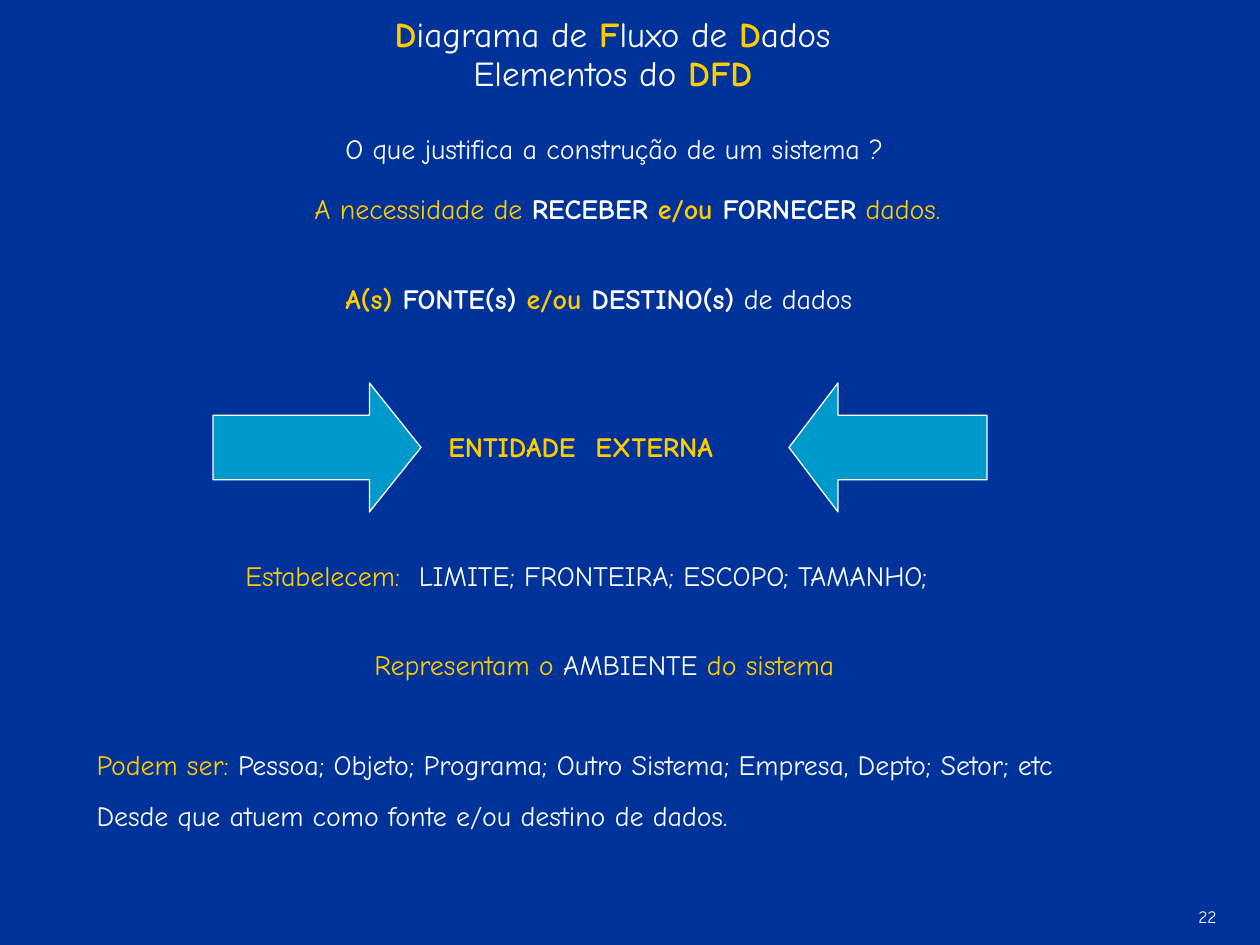
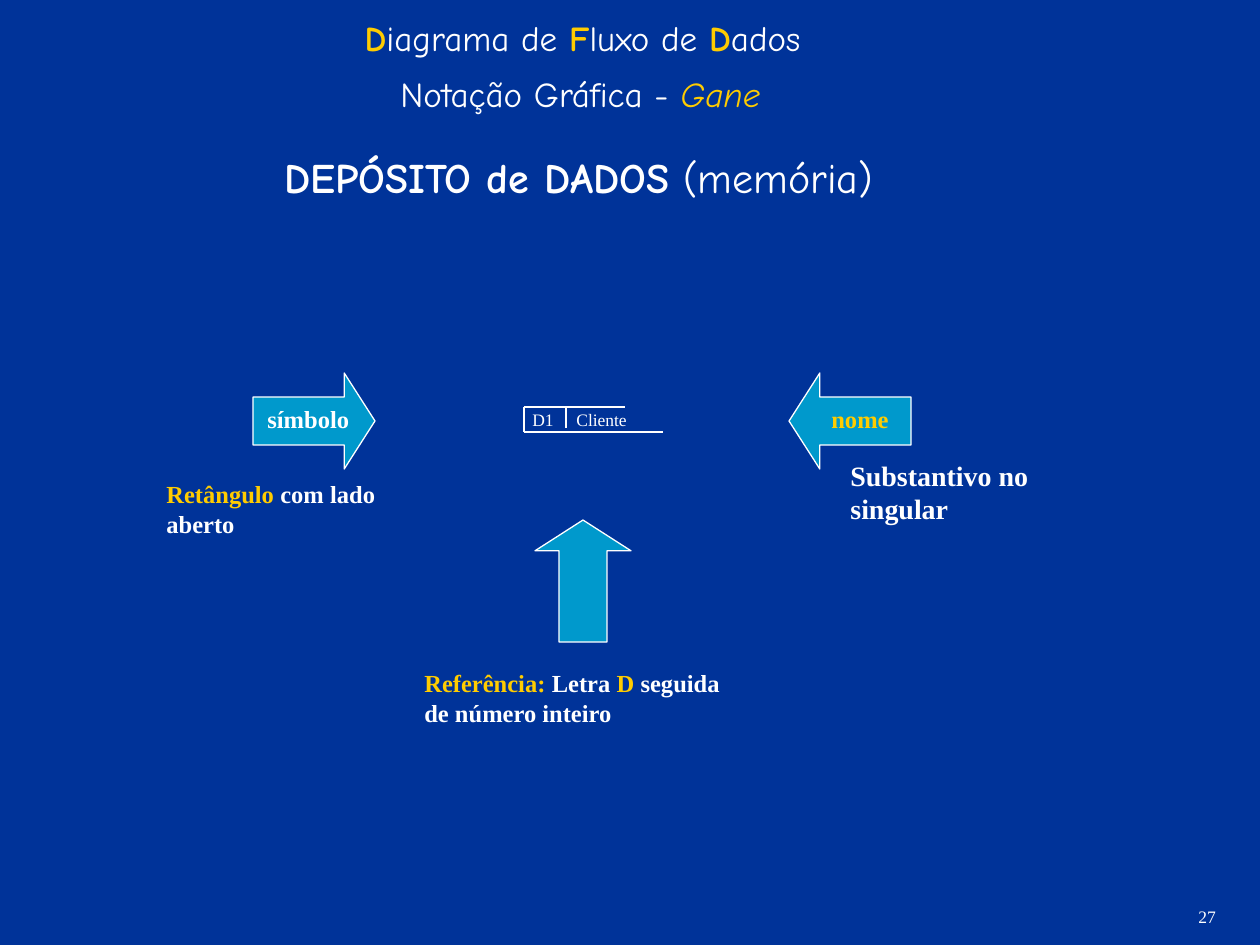
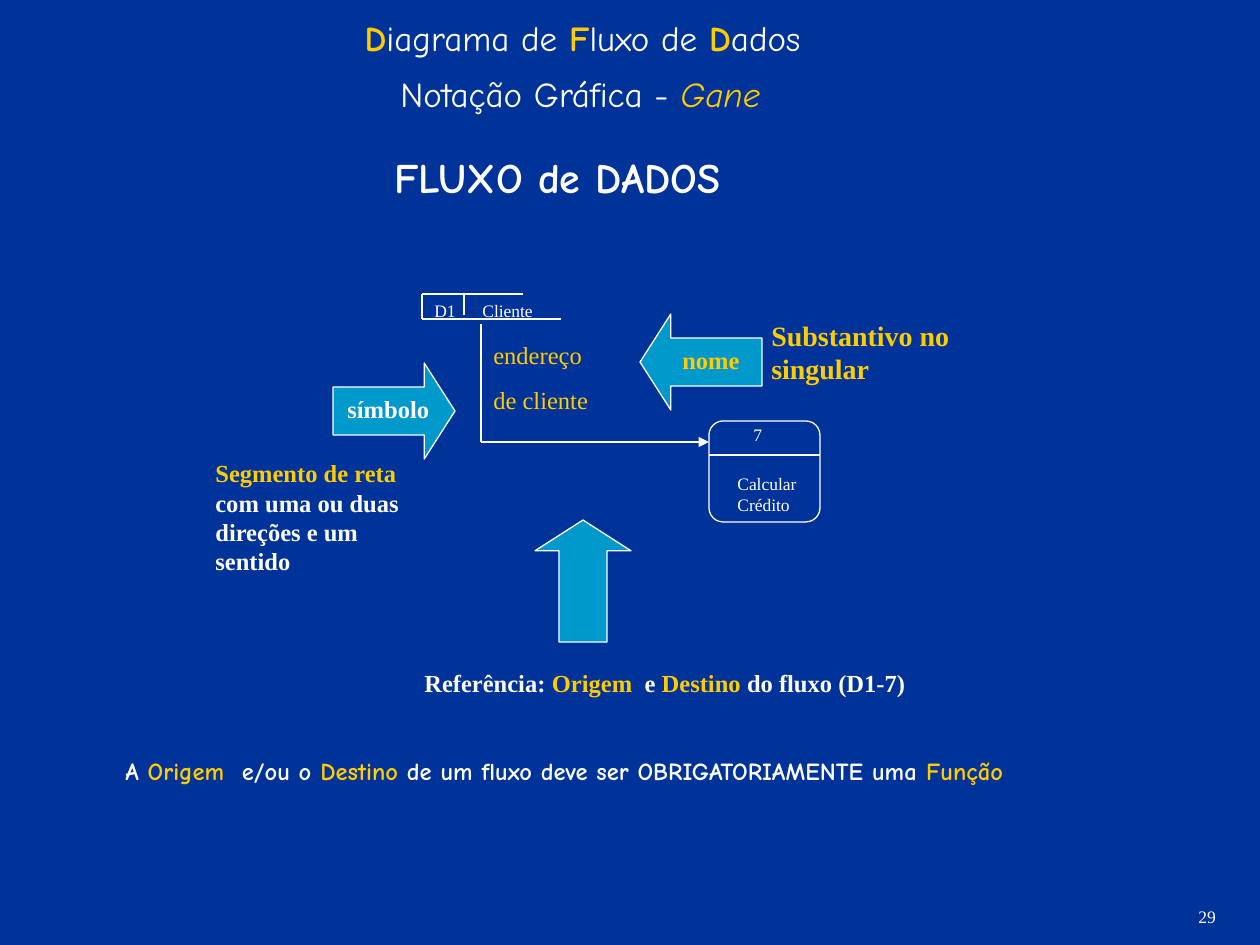
from dataclasses import dataclass

from lxml.etree import SubElement
from pptx import Presentation
from pptx.dml.color import RGBColor
from pptx.enum.shapes import MSO_CONNECTOR, MSO_SHAPE
from pptx.enum.text import MSO_ANCHOR, MSO_AUTO_SIZE, PP_ALIGN
from pptx.oxml.ns import qn
from pptx.util import Emu, Inches, Pt

PIXELS_PER_INCH = 126


# Theme: every colour, font and type size
@dataclass(frozen=True)
class Theme:
    background: str = "003399"
    white: str = "FFFFFF"
    gold: str = "FFCC00"
    arrow: str = "0099CC"
    hand: str = "Comic Neue"
    serif: str = "Times New Roman"
    heading: int = 24
    title: int = 20
    body: int = 16
    label: int = 14
    small: int = 10
    outline: float = 0.75
    paragraph_gap: float = 0.625


THEME = Theme()


@dataclass(frozen=True)
class Run:
    text: str
    color: str
    bold: bool = False
    italic: bool = False


def white(text, **style):
    return Run(text, THEME.white, **style)


def gold(text, **style):
    return Run(text, THEME.gold, **style)


def px(length):
    return Emu(round(length * Inches(1) / PIXELS_PER_INCH))


def write_text(frame, *paragraphs, size=THEME.body, font=THEME.hand):
    """Fill a text frame; each paragraph is a list of runs."""
    frame.word_wrap = True
    frame.auto_size = MSO_AUTO_SIZE.NONE
    frame.vertical_anchor = MSO_ANCHOR.TOP
    for index, runs in enumerate(paragraphs):
        paragraph = frame.add_paragraph() if index else frame.paragraphs[0]
        paragraph.alignment = PP_ALIGN.LEFT
        paragraph.space_before = Pt(size * THEME.paragraph_gap if index else 0)
        for item in runs:
            run = paragraph.add_run()
            run.text = item.text
            run.font.name = font
            run.font.size = Pt(size)
            run.font.bold = item.bold
            run.font.italic = item.italic
            run.font.color.rgb = RGBColor.from_string(item.color)


DIAGRAM_TITLE = [
    gold("D", bold=True), white("iagrama de "), gold("F", bold=True),
    white("luxo de "), gold("D", bold=True), white("ados"),
]


class Deck:
    """Holds the style and the current slide."""

    def __init__(self, theme):
        self.theme = theme
        self.slide = None
        self.presentation = Presentation()
        self.presentation.slide_width = Inches(10)
        self.presentation.slide_height = Inches(7.5)
        fill = self.presentation.slide_master.background.fill
        fill.solid()
        fill.fore_color.rgb = RGBColor.from_string(theme.background)

    # Slide frame
    def new_slide(self, number, layout="Title Only", font=THEME.serif):
        layouts = self.presentation.slide_layouts
        self.slide = self.presentation.slides.add_slide(layouts.get_by_name(layout))
        self.text(1186, 900, 59, [white(str(number))], size=self.theme.small, font=font)

    def title(self, left, top, width):
        self.fill_placeholder(self.slide.shapes.title, left, top, width, 55,
                              DIAGRAM_TITLE, size=self.theme.title)

    def notation_titles(self, left, width, *heading):
        self.title(352, 10, 525)
        self.text(388, 66, 451, [white("Notação Gráfica - "), gold("Gane", italic=True)],
                  size=self.theme.title)
        self.text(left, 145, width, heading, size=self.theme.heading)

    def body(self, left, top, width, height, *paragraphs):
        shape = self.slide.placeholders[1]
        self.fill_placeholder(shape, left, top, width, height, *paragraphs)
        for paragraph in shape.text_frame.paragraphs:
            properties = paragraph._p.get_or_add_pPr()
            properties.set("marL", "0")
            properties.set("indent", "0")
            SubElement(properties, qn("a:buNone"))

    def fill_placeholder(self, shape, left, top, width, height, *paragraphs, **style):
        shape.left, shape.top = px(left), px(top)
        shape.width, shape.height = px(width), px(height)
        write_text(shape.text_frame, *paragraphs, **style)

    # Basic elements
    def text(self, left, top, width, *paragraphs, height=None, size=THEME.body, **style):
        height = height or 2 * size + 15  # one line plus insets
        box = self.slide.shapes.add_textbox(px(left), px(top), px(width), px(height))
        write_text(box.text_frame, *paragraphs, size=size, **style)

    def label(self, left, top, width, *paragraphs, **style):
        style = {"size": self.theme.label, "font": self.theme.serif} | style
        self.text(left, top, width, *paragraphs, **style)

    def shape(self, kind, left, top, width, height, adjustments, fill=None, rotation=0):
        shape = self.slide.shapes.add_shape(kind, px(left), px(top), px(width), px(height))
        shape.shadow.inherit = False
        shape.rotation = rotation
        for index, value in enumerate(adjustments):
            shape.adjustments[index] = value
        if fill:
            shape.fill.solid()
            shape.fill.fore_color.rgb = RGBColor.from_string(fill)
        else:
            shape.fill.background()
        self.outline(shape.line)

    def line(self, start_x, start_y, end_x, end_y, arrow=False):
        connector = self.slide.shapes.add_connector(
            MSO_CONNECTOR.STRAIGHT, px(start_x), px(start_y), px(end_x), px(end_y))
        self.outline(connector.line)
        if arrow:
            SubElement(connector.line._get_or_add_ln(), qn("a:tailEnd"), type="triangle")
        SubElement(connector._element.spPr, qn("a:effectLst"))

    def outline(self, line):
        line.color.rgb = RGBColor.from_string(self.theme.white)
        line.width = Pt(self.theme.outline)

    # Diagram elements
    def arrow(self, left, top, width=122, height=96, head=0.32, rotation=0,
              kind=MSO_SHAPE.RIGHT_ARROW):
        self.shape(kind, left, top, width, height, (0.5, head), self.theme.arrow, rotation)

    def symbol_arrow(self, left, top):
        self.arrow(left, top)
        self.label(left + 2, top + 25, 110, [white("símbolo", bold=True)])

    def name_arrow(self, left, top):
        self.arrow(left, top, rotation=180)
        self.label(left + 30, top + 25, 88, [gold("nome", bold=True)])

    def reference_arrow(self):
        self.arrow(522, 533, rotation=270)

    def data_store(self, left, top, code_left, name_left, label_top):
        bottom, divider = top + 25, left + 42
        self.line(left, bottom, left + 139, bottom)
        self.line(left, bottom, left, top)
        self.line(left, top, left + 101, top)
        self.line(divider, top, divider, top + 21)
        self.label(code_left, label_top, 63, [white("D1")], size=self.theme.small)
        self.label(name_left, label_top, 84, [white("Cliente")], size=self.theme.small)

    def process(self, left, top, number, name):
        width = 111
        self.shape(MSO_SHAPE.ROUNDED_RECTANGLE, left, top, width, 101, (0.14,))
        self.line(left, top + 34, left + width, top + 34)
        self.label(left + 32, top - 3, 53, [white(number)], size=self.theme.small)
        self.label(left + 16, top + 46, 84, [white(name)], height=97, size=self.theme.small)


def external_entity_slide(deck):
    deck.new_slide(22, layout="Title and Content", font=deck.theme.hand)
    deck.title(382, 6, 488)
    deck.text(461, 45, 367, [white("Elementos do "), gold("DFD", bold=True)],
              size=deck.theme.title)

    # Statements from top to bottom
    statements = [
        (333, 125, 615, [white("O que justifica a construção de um sistema ?")]),
        (302, 185, 756, [gold("A necessidade de "), white("RECEBER", bold=True),
                         gold(" e/ou ", bold=True), white("FORNECER", bold=True),
                         gold(" dados.")]),
        (333, 275, 633, [gold("A(s) ", bold=True), white("FONTE(s) ", bold=True),
                         gold("e/ou ", bold=True), white("DESTINO(s)", bold=True),
                         white(" de dados")]),
        (436, 423, 363, [gold("ENTIDADE  EXTERNA", bold=True)]),
        (233, 552, 851, [gold("Estabelecem:"),
                         white("  LIMITE; FRONTEIRA; ESCOPO; TAMANHO;")]),
        (362, 641, 546, [gold("Representam o"), white(" AMBIENTE "), gold("do sistema")]),
    ]
    for left, top, width, runs in statements:
        deck.text(left, top, width, runs)

    # Examples
    deck.body(84, 741, 1101, 97,
              [gold("Podem ser:"), white(" Pessoa; Objeto; Programa; Outro Sistema; "
                                         "Empresa, Depto; Setor; etc")],
              [white("Desde que atuem como fonte e/ou destino de dados.")])

    # Arrows pointing at the entity
    deck.arrow(213, 383, 208, 129, head=0.4)
    deck.arrow(789, 383, 198, 129, head=0.38, kind=MSO_SHAPE.LEFT_ARROW)


def data_store_slide(deck):
    deck.new_slide(27)
    deck.notation_titles(272, 735, white("DEPÓSITO de DADOS", bold=True),
                         white(" (memória)"))
    deck.data_store(524, 407, code_left=520, name_left=564, label_top=403)

    # Symbol, name and reference
    deck.symbol_arrow(253, 373)
    deck.label(154, 473, 248, [gold("Retângulo", bold=True),
                               white(" com lado aberto", bold=True)], height=72)
    deck.name_arrow(789, 373)
    deck.label(838, 452, 297, [white("Substantivo no singular", bold=True)],
               height=81, size=deck.theme.body)
    deck.reference_arrow()
    deck.label(412, 662, 338, [gold("Referência:", bold=True), white(" Letra ", bold=True),
                               gold("D ", bold=True),
                               white("seguida de número inteiro", bold=True)], height=72)


def data_flow_slide(deck):
    deck.new_slide(29)
    deck.notation_titles(382, 456, white("FLUXO de DADOS", bold=True))

    # Flow from the data store to the process
    deck.data_store(422, 294, code_left=422, name_left=470, label_top=294)
    deck.line(481, 324, 481, 442)
    deck.line(481, 442, 709, 442, arrow=True)
    deck.label(481, 334, 139, [gold("endereço")], [gold("de cliente")], height=87)
    deck.process(709, 421, "7", "Calcular Crédito")

    # Symbol, name and reference
    deck.symbol_arrow(333, 363)
    deck.label(203, 452, 248, [gold("Segmento de reta", bold=True),
                               white(" com uma ou duas direções e um sentido", bold=True)],
               height=131)
    deck.name_arrow(640, 314)
    deck.label(759, 312, 297, [gold("Substantivo no singular", bold=True)],
               height=81, size=deck.theme.body)
    deck.reference_arrow()
    deck.label(412, 662, 517, [white("Referência: ", bold=True), gold("Origem ", bold=True),
                               white(" e ", bold=True), gold("Destino ", bold=True),
                               white("do fluxo (D1-7)", bold=True)])

    # Rule for every flow
    deck.text(113, 750, 1052, [
        white("A ", bold=True), gold("Origem", bold=True), white("  e/ou o ", bold=True),
        gold("Destino", bold=True),
        white(" de um fluxo deve ser OBRIGATORIAMENTE uma ", bold=True),
        gold("Função", bold=True),
    ], size=deck.theme.label)


def main():
    deck = Deck(THEME)
    external_entity_slide(deck)
    data_store_slide(deck)
    data_flow_slide(deck)
    deck.presentation.save("out.pptx")


if __name__ == "__main__":
    main()
